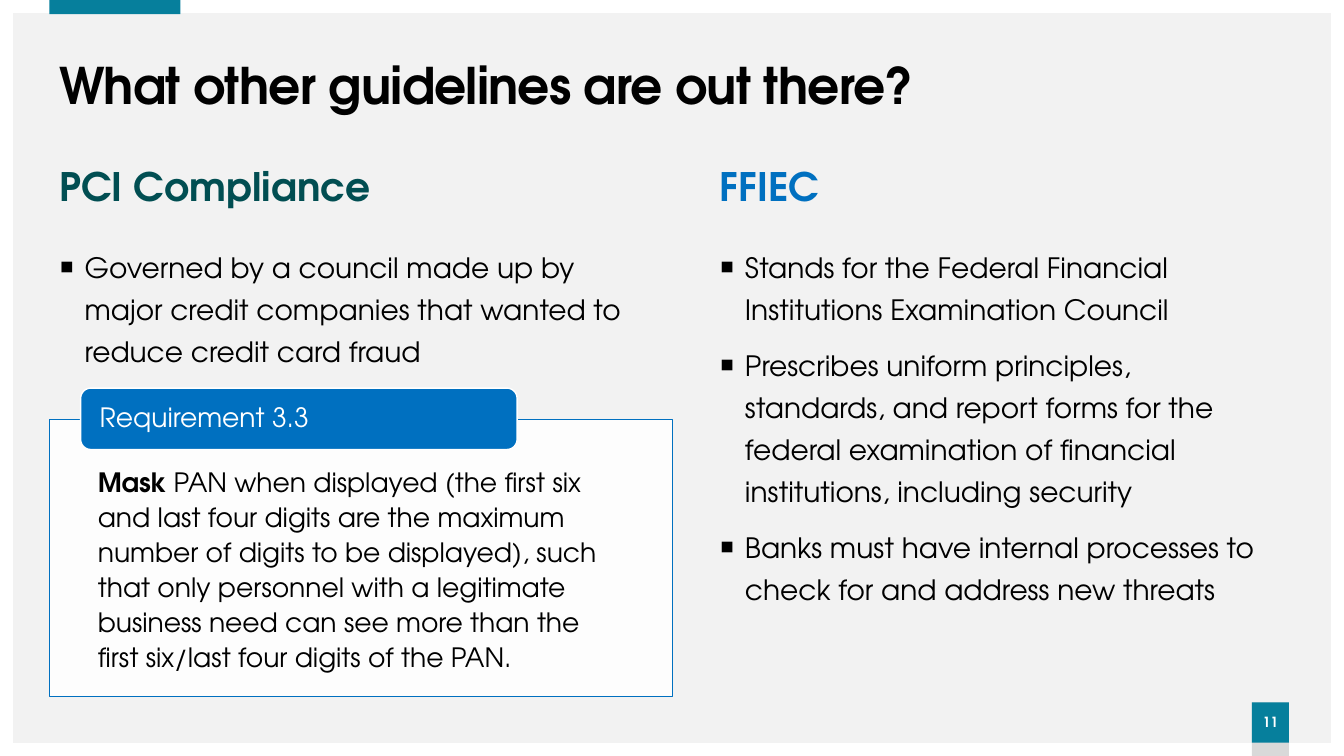
from dataclasses import dataclass

from lxml import etree
from pptx import Presentation
from pptx.dml.color import RGBColor
from pptx.enum.shapes import MSO_SHAPE
from pptx.enum.text import MSO_ANCHOR, MSO_AUTO_SIZE, PP_ALIGN
from pptx.oxml.ns import qn
from pptx.shapes.autoshape import Shape
from pptx.slide import Slide
from pptx.text.text import TextFrame
from pptx.util import Pt

RECT, ROUND, FRAME = MSO_SHAPE.RECTANGLE, MSO_SHAPE.ROUNDED_RECTANGLE, MSO_SHAPE.FRAME
TOP, MIDDLE, BOTTOM = MSO_ANCHOR.TOP, MSO_ANCHOR.MIDDLE, MSO_ANCHOR.BOTTOM
LEFT, CENTER = PP_ALIGN.LEFT, PP_ALIGN.CENTER
NO_FIT = MSO_AUTO_SIZE.NONE


# Theme
@dataclass(frozen=True)
class Theme:
    font: str = "TeX Gyre Adventor"
    back: str = "F2F2F2"
    white: str = "FFFFFF"
    black: str = "000000"
    gray: str = "D9D9D9"
    teal: str = "067F9C"
    green: str = "014E52"
    blue: str = "0070C0"
    title: float = 36
    head: float = 28
    body: float = 20
    note: float = 19
    page: float = 10


THEME = Theme()


@dataclass(frozen=True)
class Box:
    x: float
    y: float
    w: float
    h: float


@dataclass(frozen=True)
class Style:
    size: float
    color: str
    bold: bool = False
    lead: float = 0.9
    align: PP_ALIGN = LEFT
    track: int = 0


@dataclass(frozen=True)
class Block:
    kind: MSO_SHAPE
    box: Box
    fill: str
    line: str = ""
    alpha: int = 100


@dataclass(frozen=True)
class Column:
    x: float
    width: float
    depth: float
    head: str
    color: str
    items: tuple[str, ...]


# Layout and content
EDGE = 35.3
HEAD_Y, HEAD_H, LIST_Y = 115.2, 38.2, 169.2
HANG, GAP = 18, 10
TITLE = "What other guidelines are out there?"
TITLE_BOX = Box(EDGE, 39.6, 879.8, 46.8)
BADGE_X, BADGE_Y, BADGE_W = 894.2, 501.8, 26.6

COLUMNS = (
    Column(EDGE, 417.6, 109.4, "PCI Compliance", THEME.green, (
        "Governed by a council made up by major credit companies that wanted to reduce credit card fraud",
    )),
    Column(506.9, 408.2, 318.2, "FFIEC", THEME.blue, (
        "Stands for the Federal Financial Institutions Examination Council",
        "Prescribes uniform principles, standards, and report forms for the federal "
        "examination of financial institutions, including security",
        "Banks must have internal processes to check for and address new threats",
    )),
)

DECOR = (
    Block(FRAME, Box(0, 0, 960, 540), THEME.white),
    Block(RECT, Box(EDGE, 0, 93.6, 10.1), THEME.teal),
    Block(RECT, Box(BADGE_X, BADGE_Y, BADGE_W, 38.2), THEME.gray),
)
BADGE = Block(RECT, Box(BADGE_X, BADGE_Y, BADGE_W, 28.8), THEME.teal)
CARD = Block(RECT, Box(EDGE, 299.5, 445, 198), THEME.white, THEME.blue, 90)
LABEL = Block(ROUND, Box(57.6, 277.2, 311.8, 43.9), THEME.blue, THEME.white)
RULE = (
    ("Mask", True),
    ("\u00a0PAN when displayed (the first six and last four digits are the maximum number of "
     "digits to be displayed), such that only personnel with a legitimate business need can "
     "see more than the first six/last four digits of the PAN.".replace("\u00a0", " "), False),
)


# Drawing
def place(shape: Shape, box: Box) -> None:
    shape.left, shape.top = Pt(box.x), Pt(box.y)
    shape.width, shape.height = Pt(box.w), Pt(box.h)


def draw(slide: Slide, block: Block) -> Shape:
    box = block.box
    shape = slide.shapes.add_shape(block.kind, Pt(box.x), Pt(box.y), Pt(box.w), Pt(box.h))
    shape.shadow.inherit = False
    if block.kind == FRAME:
        shape.adjustments[0] = 0.017
    shape.fill.solid()
    shape.fill.fore_color.rgb = RGBColor.from_string(block.fill)
    if block.alpha < 100:
        color = shape._element.spPr.find(".//" + qn("a:srgbClr"))
        etree.SubElement(color, qn("a:alpha")).set("val", str(block.alpha * 1000))
    if block.line:
        shape.line.color.rgb = RGBColor.from_string(block.line)
        shape.line.width = Pt(1)
    else:
        shape.line.fill.background()
    return shape


def setup(frame: TextFrame, anchor: MSO_ANCHOR, sides: float = 7.2,
          top: float = 3.6, base: float = 3.6) -> None:
    frame.word_wrap = True
    frame.auto_size = NO_FIT
    frame.vertical_anchor = anchor
    frame.margin_left = frame.margin_right = Pt(sides)
    frame.margin_top, frame.margin_bottom = Pt(top), Pt(base)


def write(frame: TextFrame, runs: tuple[tuple[str, bool], ...], style: Style,
          first: bool = True, mark: str = "") -> None:
    para = frame.paragraphs[0] if first else frame.add_paragraph()
    if mark:
        props = para._p.get_or_add_pPr()
        props.set("marL", str(Pt(HANG)))
        props.set("indent", str(-Pt(HANG)))
        etree.SubElement(props, qn("a:buFont")).set("typeface", THEME.font)
        etree.SubElement(props, qn("a:buChar")).set("char", mark)
    para.alignment = style.align
    para.line_spacing = style.lead
    para.space_before = Pt(0 if first else GAP)
    for text, bold in runs:
        run = para.add_run()
        run.text = text
        run.font.name = THEME.font
        run.font.size = Pt(style.size)
        run.font.bold = bold
        run.font.color.rgb = RGBColor.from_string(style.color)
        if style.track:
            run._r.get_or_add_rPr().set("spc", str(style.track))


def fill(shape: Shape, text: str, style: Style, anchor: MSO_ANCHOR) -> None:
    setup(shape.text_frame, anchor)
    write(shape.text_frame, ((text, style.bold),), style)


def column(head: Shape, body: Shape, col: Column) -> None:
    place(head, Box(col.x, HEAD_Y, col.width, HEAD_H))
    fill(head, col.head, Style(THEME.head, col.color, True), BOTTOM)
    place(body, Box(col.x, LIST_Y, col.width, col.depth))
    setup(body.text_frame, TOP)
    style = Style(THEME.body, THEME.black, lead=1.25)
    for i, item in enumerate(col.items):
        write(body.text_frame, ((item, False),), style, i == 0, "▪")


def main() -> None:
    deck = Presentation()
    deck.slide_width, deck.slide_height = Pt(960), Pt(540)
    slide = deck.slides.add_slide(deck.slide_layouts.get_by_name("Comparison"))
    slide.background.fill.solid()
    slide.background.fill.fore_color.rgb = RGBColor.from_string(THEME.back)

    # Frame, tab and page badge
    for block in DECOR:
        draw(slide, block)
    badge = draw(slide, BADGE)
    setup(badge.text_frame, MIDDLE, 0)
    write(badge.text_frame, (("11", True),), Style(THEME.page, THEME.white, align=CENTER))

    # Title and columns
    title, *slots = slide.placeholders
    place(title, TITLE_BOX)
    fill(title, TITLE, Style(THEME.title, THEME.black, True, track=-60), MIDDLE)
    for col, head, body in zip(COLUMNS, slots[::2], slots[1::2]):
        column(head, body, col)

    # Rule card with its label
    card = draw(slide, CARD)
    setup(card.text_frame, TOP, 34.6, 31, 10.8)
    write(card.text_frame, RULE, Style(THEME.note, THEME.black, lead=1.1))
    label = draw(slide, LABEL)
    setup(label.text_frame, MIDDLE, 11.5, 0, 0)
    write(label.text_frame, (("Requirement 3.3", False),), Style(THEME.note, THEME.white))

    deck.save("out.pptx")


if __name__ == "__main__":
    main()
